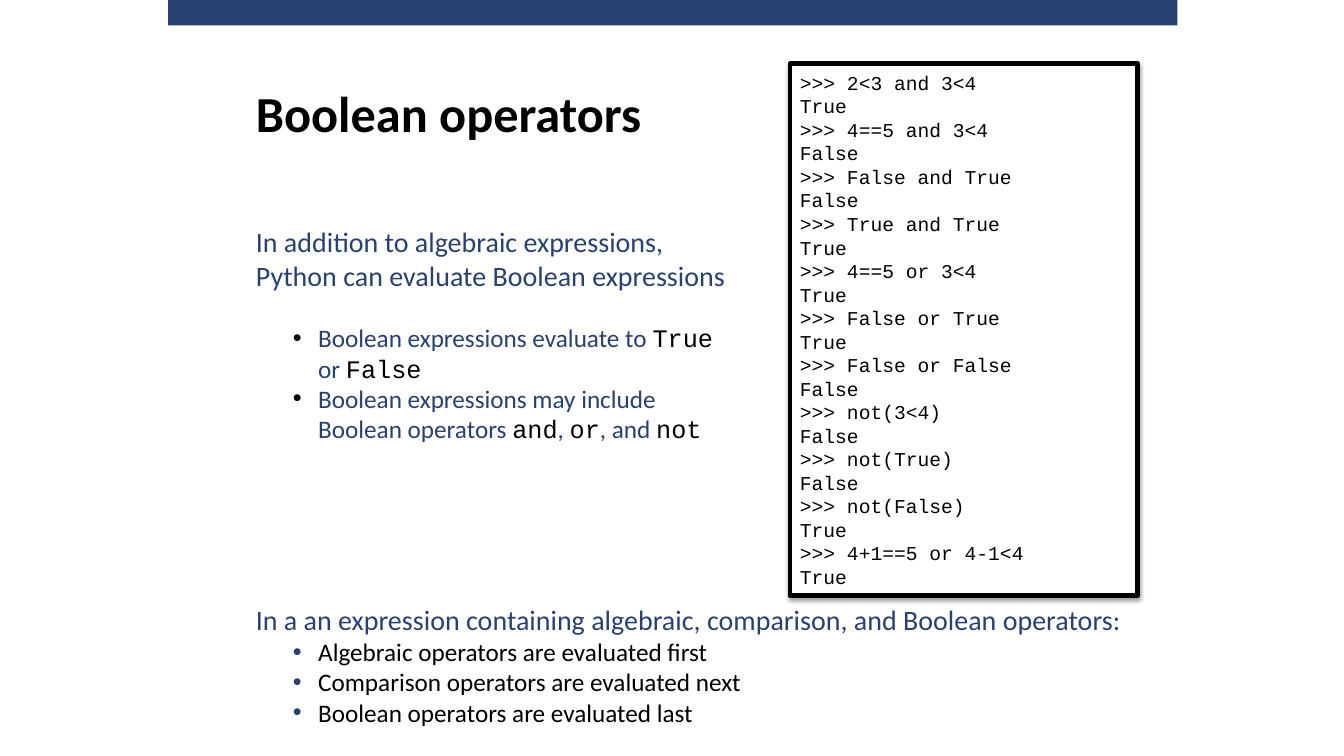
from lxml import etree
from pptx import Presentation
from pptx.dml.color import RGBColor
from pptx.enum.shapes import MSO_SHAPE
from pptx.enum.text import MSO_ANCHOR, PP_ALIGN
from pptx.oxml.ns import qn
from pptx.util import Cm, Pt

RECTANGLE = MSO_SHAPE.RECTANGLE
MIDDLE, BOTTOM = MSO_ANCHOR.MIDDLE, MSO_ANCHOR.BOTTOM
LEFT = PP_ALIGN.LEFT
NAVY, BLACK, WHITE = "294171", "000000", "FFFFFF"
BODY, CODE = "Calibri", "Courier New"
LEFT_EDGE = 6.2

SESSION = [
    ("2<3 and 3<4", "True"),
    ("4==5 and 3<4", "False"),
    ("False and True", "False"),
    ("True and True", "True"),
    ("4==5 or 3<4", "True"),
    ("False or True", "True"),
    ("False or False", "False"),
    ("not(3<4)", "False"),
    ("not(True)", "False"),
    ("not(False)", "True"),
    ("4+1==5 or 4-1<4", "True"),
]
# Prose and code pieces alternate, starting with prose
FACTS = [
    ["Boolean expressions evaluate to ", "True ", "or ", "False"],
    ["Boolean expressions may include Boolean operators ", "and", ", ", "or", ", and ", "not "],
]
PRECEDENCE = [
    "Algebraic operators are evaluated first",
    "Comparison operators are evaluated next",
    "Boolean operators are evaluated last",
]


def rgb(color):
    return RGBColor.from_string(color)


def add_element(parent, tag, **attributes):
    return etree.SubElement(parent, qn(tag), attributes)


def style(run, size, color=NAVY, font=BODY, bold=False):
    run.font.size, run.font.bold, run.font.name = Pt(size), bold, font
    run.font.color.rgb = rgb(color)


def add_rectangle(slide, box, fill):
    rectangle = slide.shapes.add_shape(RECTANGLE, *map(Cm, box))
    rectangle.shadow.inherit = False
    rectangle.fill.solid()
    rectangle.fill.fore_color.rgb = rgb(fill)
    rectangle.line.fill.background()
    return rectangle


def add_text(slide, box, lines, size, color=NAVY, bold=False):
    frame = slide.shapes.add_textbox(*map(Cm, box)).text_frame
    frame.word_wrap = True
    frame.vertical_anchor = MIDDLE
    frame.text = "\n".join(lines)
    for paragraph in frame.paragraphs:
        style(paragraph.runs[0], size, color, bold=bold)
    return frame


def add_bullet(frame, level, color):
    paragraph = frame.add_paragraph()
    paragraph.level = level
    properties = paragraph._p.get_or_add_pPr()
    properties.set("marL", str(Cm(1.57)))
    properties.set("indent", str(Cm(-0.64)))
    add_element(add_element(properties, "a:buClr"), "a:srgbClr", val=color)
    add_element(properties, "a:buFont", typeface="Arial")
    add_element(properties, "a:buChar", char="•")
    return paragraph


def add_heading(slide, box):
    frame = add_text(slide, box, ["Boolean operators"], 36, BLACK, bold=True)
    frame.vertical_anchor = BOTTOM
    frame.margin_bottom = Cm(0.5)


def add_introduction(slide, box):
    frame = add_text(slide, box, ["In addition to algebraic expressions,",
                                  "Python can evaluate Boolean expressions"], 20)
    for number, pieces in enumerate(FACTS):
        fact = add_bullet(frame, 1, BLACK)
        if number == 0:
            fact.space_before = Pt(22)
        for position, piece in enumerate(pieces):
            run = fact.add_run()
            run.text = piece
            color, font = (BLACK, CODE) if position % 2 else (NAVY, BODY)
            style(run, 18, color, font)


def add_console(slide, box):
    console = add_rectangle(slide, box, WHITE)
    console.line.color.rgb = rgb(BLACK)
    console.line.width = Pt(3)
    # Soft shadow straight below
    effects = console._element.spPr.find(qn("a:effectLst"))
    shadow = add_element(effects, "a:outerShdw", blurRad=str(Pt(3.1)), dist=str(Pt(1.6)),
                         dir="5400000", rotWithShape="0")
    shade = add_element(shadow, "a:srgbClr", val=BLACK)
    add_element(shade, "a:alpha", val="38000")
    # Prompts and their answers
    frame = console.text_frame
    frame.word_wrap = True
    frame.vertical_anchor = MIDDLE
    frame.text = "\n".join(f">>> {prompt}\n{answer}" for prompt, answer in SESSION)
    for paragraph in frame.paragraphs:
        paragraph.alignment = LEFT
        style(paragraph.runs[0], 14, BLACK, CODE)


def add_precedence(slide, box):
    frame = add_text(slide, box, ["In a an expression containing algebraic, comparison, "
                                  "and Boolean operators:"], 20)
    for rule in PRECEDENCE:
        bullet = add_bullet(frame, 2, NAVY)
        bullet.text = rule
        style(bullet.runs[0], 18, BLACK)


presentation = Presentation()
presentation.slide_width, presentation.slide_height = Cm(33.87), Cm(19.05)
slide = presentation.slides.add_slide(presentation.slide_layouts[6])

add_rectangle(slide, (4.24, 0, 25.43, 0.64), NAVY)  # top band
add_heading(slide, (LEFT_EDGE, 0, 21.59, 4.09))
add_introduction(slide, (LEFT_EDGE, 5.51, 12.52, 5.82))
add_console(slide, (19.91, 1.6, 8.76, 13.41))
add_precedence(slide, (LEFT_EDGE, 15.04, 22.45, 3.43))

presentation.save("out.pptx")
